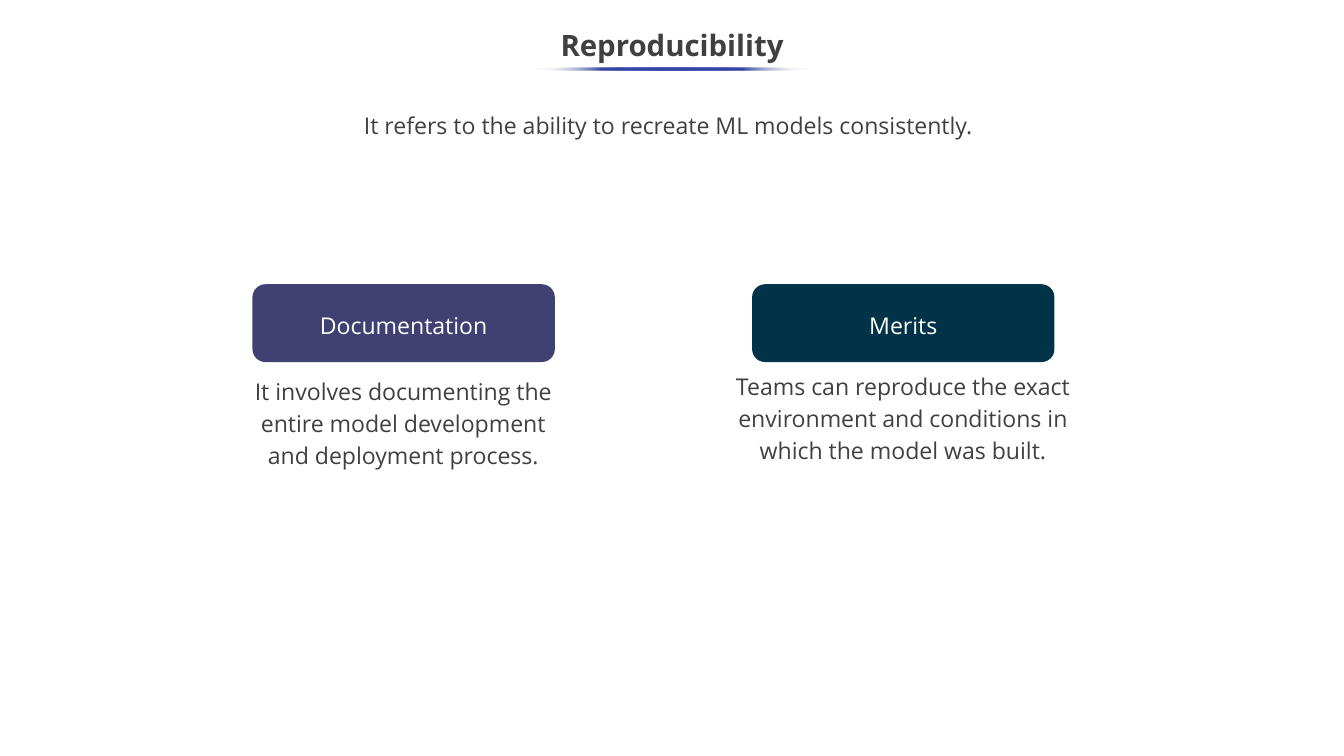
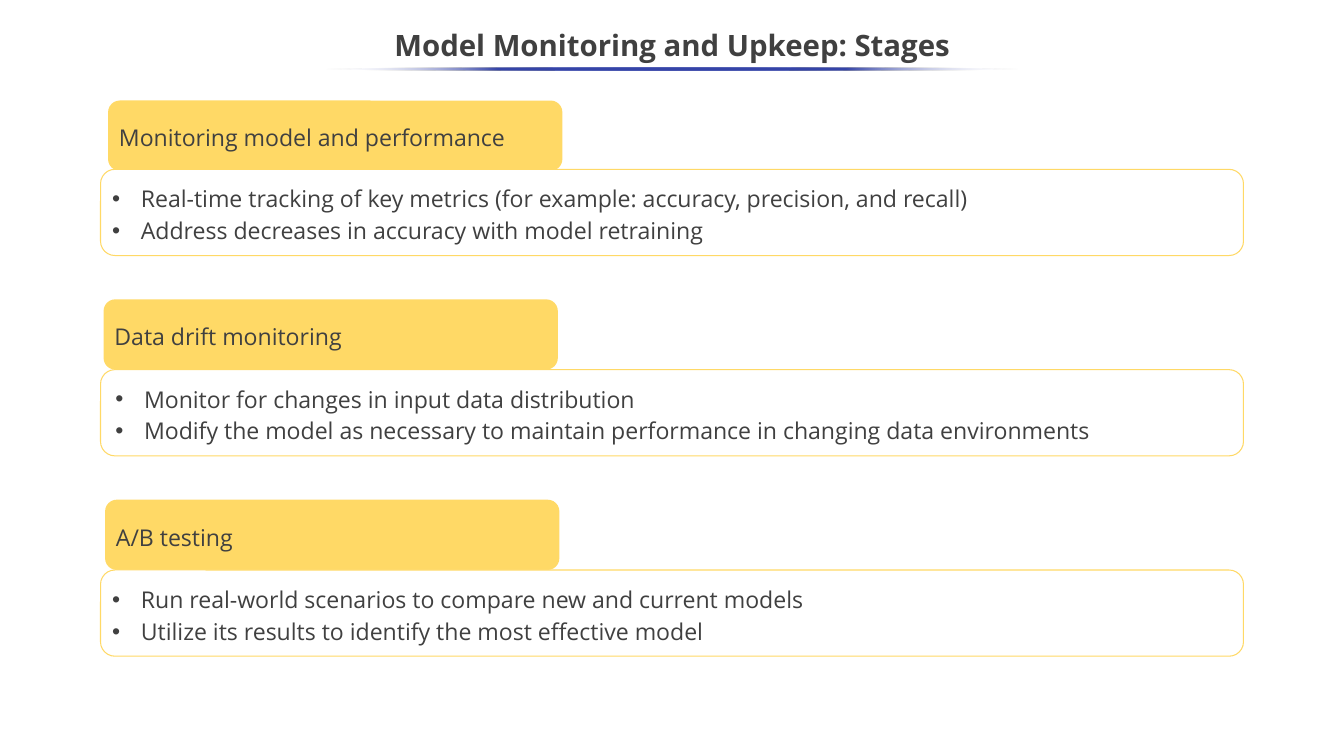
from lxml import etree
from pptx import Presentation
from pptx.dml.color import RGBColor
from pptx.enum.shapes import MSO_SHAPE
from pptx.enum.text import MSO_ANCHOR, MSO_AUTO_SIZE, PP_ALIGN
from pptx.oxml.ns import qn
from pptx.util import Pt

SCALE = 9144
WIDTH, HEIGHT = 1778, 1000
FONT = "Open Sans"
DARK = RGBColor(0x40, 0x40, 0x40)
WHITE = RGBColor(0xFF, 0xFF, 0xFF)
BLUE = RGBColor(0x36, 0x45, 0xA9)
PLUM = RGBColor(0x40, 0x41, 0x72)
NAVY = RGBColor(0x00, 0x33, 0x48)
GOLD = RGBColor(0xFF, 0xD9, 0x66)
ROUND, OVAL = MSO_SHAPE.ROUNDED_RECTANGLE, MSO_SHAPE.OVAL
LEFT, CENTER = PP_ALIGN.LEFT, PP_ALIGN.CENTER
TOP, MIDDLE = MSO_ANCHOR.TOP, MSO_ANCHOR.MIDDLE
STOPS = ((0, WHITE, 0), (25, BLUE, 100), (50, BLUE, 100),
         (75, BLUE, 100), (100, WHITE, 0))

TOPICS = (
    (334, PLUM, "Documentation", (320, 489, 427),
     "It involves documenting the entire model development and deployment process."),
    (995, NAVY, "Merits", (932, 482, 525),
     "Teams can reproduce the exact environment and conditions in which the model was built."),
)
STAGES = (
    (143, 133, "Monitoring model and performance", 10,
     ("Real-time tracking of key metrics (for example: accuracy, precision, and recall)",
      "Address decreases in accuracy with model retraining")),
    (137, 396, "Data drift monitoring", 14,
     ("Monitor for changes in input data distribution",
      "Modify the model as necessary to maintain performance in changing data environments")),
    (139, 661, "A/B testing", 10,
     ("Run real-world scenarios to compare new and current models",
      "Utilize its results to identify the most effective model")),
)


def px(*sizes):
    return [size * SCALE for size in sizes]


def bullet(para):
    props = para._p.get_or_add_pPr()
    indent = 38 * SCALE
    props.set("marL", str(indent))
    props.set("indent", str(-indent))
    etree.SubElement(props, qn("a:buFont"), typeface="Arial")
    etree.SubElement(props, qn("a:buChar"), char="•")


def write(shape, *lines, size=22, color=DARK, bold=False, align=LEFT,
          anchor=MIDDLE, space=1.15, inset=(10, 5, 10, 5), dots=False):
    frame = shape.text_frame
    frame.word_wrap = True
    frame.auto_size = MSO_AUTO_SIZE.NONE
    frame.vertical_anchor = anchor
    (frame.margin_left, frame.margin_top,
     frame.margin_right, frame.margin_bottom) = px(*inset)
    for i, line in enumerate(lines):
        para = frame.add_paragraph() if i else frame.paragraphs[0]
        if dots:
            bullet(para)
        para.alignment = align
        para.line_spacing = space
        run = para.add_run()
        run.text = line
        font = run.font
        font.name, font.size, font.bold = FONT, Pt(size), bold
        font.color.rgb = color


def block(slide, kind, box, fill=None, edge=None):
    shape = slide.shapes.add_shape(kind, *px(*box))
    shape.shadow.inherit = False
    if fill is not None:
        shape.fill.solid()
        shape.fill.fore_color.rgb = fill
    if edge is None:
        shape.line.fill.background()
    else:
        shape.line.color.rgb = edge
        shape.line.width = Pt(1)
    return shape


def note(slide, box, text, **style):
    shape = slide.shapes.add_textbox(*px(*box))
    write(shape, text, align=CENTER, anchor=TOP, **style)


def fade(shape):
    shape.fill.gradient()
    shape.fill.gradient_angle = 180
    stops = shape._element.spPr.find(".//" + qn("a:gsLst"))
    for stop in list(stops):
        stops.remove(stop)
    for pos, color, alpha in STOPS:
        stop = etree.SubElement(stops, qn("a:gs"), pos=str(pos * 1000))
        tint = etree.SubElement(stop, qn("a:srgbClr"), val=str(color))
        if alpha < 100:
            etree.SubElement(tint, qn("a:alpha"), val=str(alpha * 1000))


def start(deck, text, rule):
    slide = deck.slides.add_slide(deck.slide_layouts[5])
    title = slide.shapes.title
    title.left, title.top, title.width, title.height = px(-1, 25, 1780, 75)
    write(title, text, size=28, bold=True, align=CENTER, space=0.9)
    fade(block(slide, OVAL, ((WIDTH - rule) // 2, 89, rule, 4)))
    return slide


def recap(deck):
    slide = start(deck, "Reproducibility", 370)
    note(slide, (135, 142, 1498, 99),
         "It refers to the ability to recreate ML models consistently.",
         inset=(10, 0, 10, 0))
    for left, fill, name, (x, y, wide), text in TOPICS:
        pill = block(slide, ROUND, (left, 376, 400, 103), fill)
        write(pill, name, color=WHITE, align=CENTER, inset=(7, 3, 7, 3))
        note(slide, (x, y, wide, 135), text)


def stages(deck):
    slide = start(deck, "Model Monitoring and Upkeep: Stages", 919)
    for i, (left, top, name, pad, lines) in enumerate(STAGES):
        head = block(slide, ROUND, (left, top, 601, 93), GOLD)
        write(head, name)
        card = block(slide, ROUND, (133, 224 + 265 * i, 1512, 114), WHITE, GOLD)
        write(card, *lines, dots=True, inset=(pad, 5, 10, 5))


def main():
    deck = Presentation()
    deck.slide_width, deck.slide_height = px(WIDTH, HEIGHT)
    recap(deck)
    stages(deck)
    deck.save("out.pptx")


if __name__ == "__main__":
    main()
